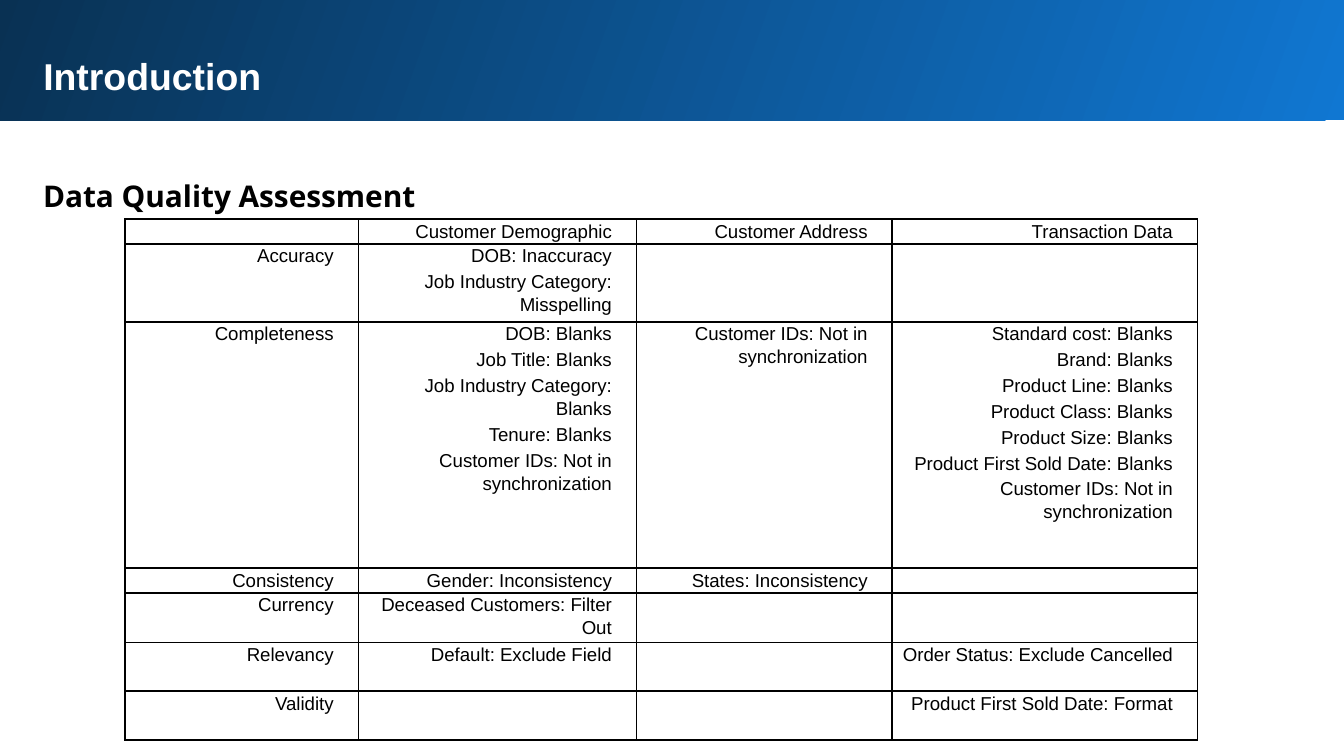
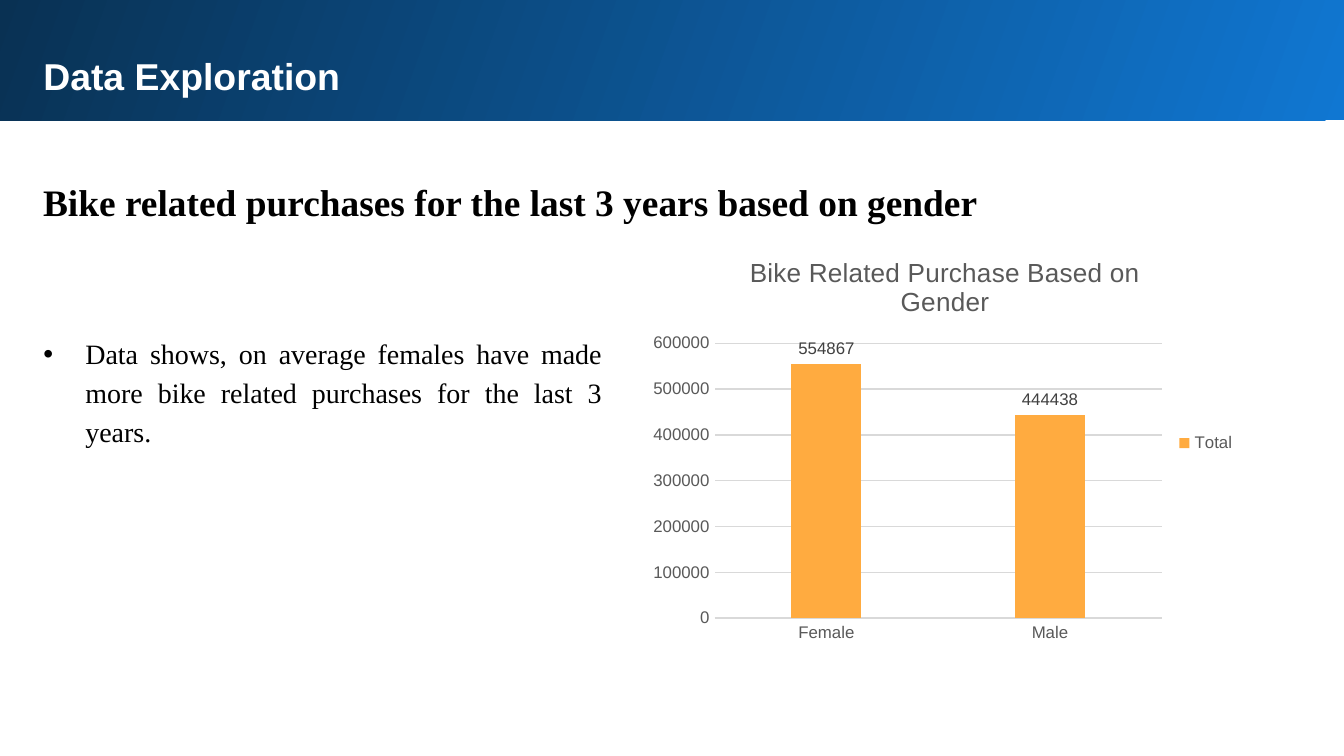
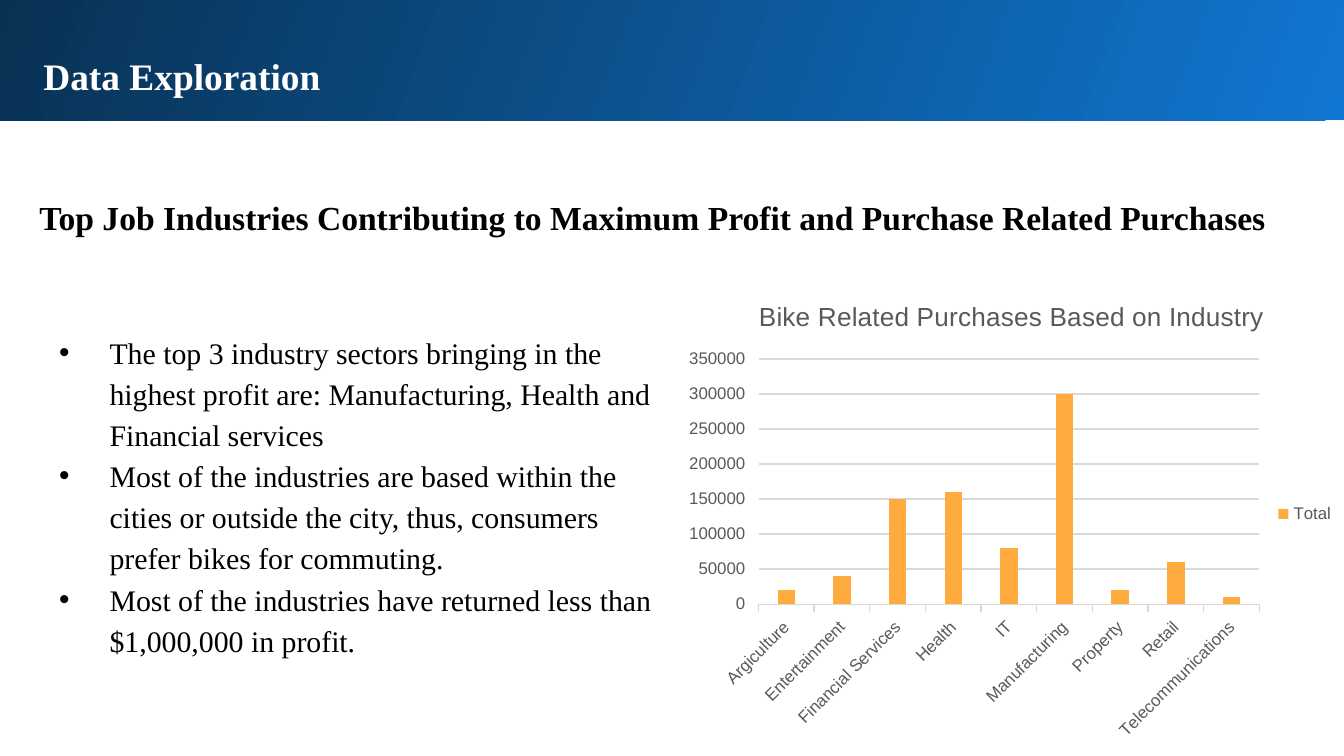
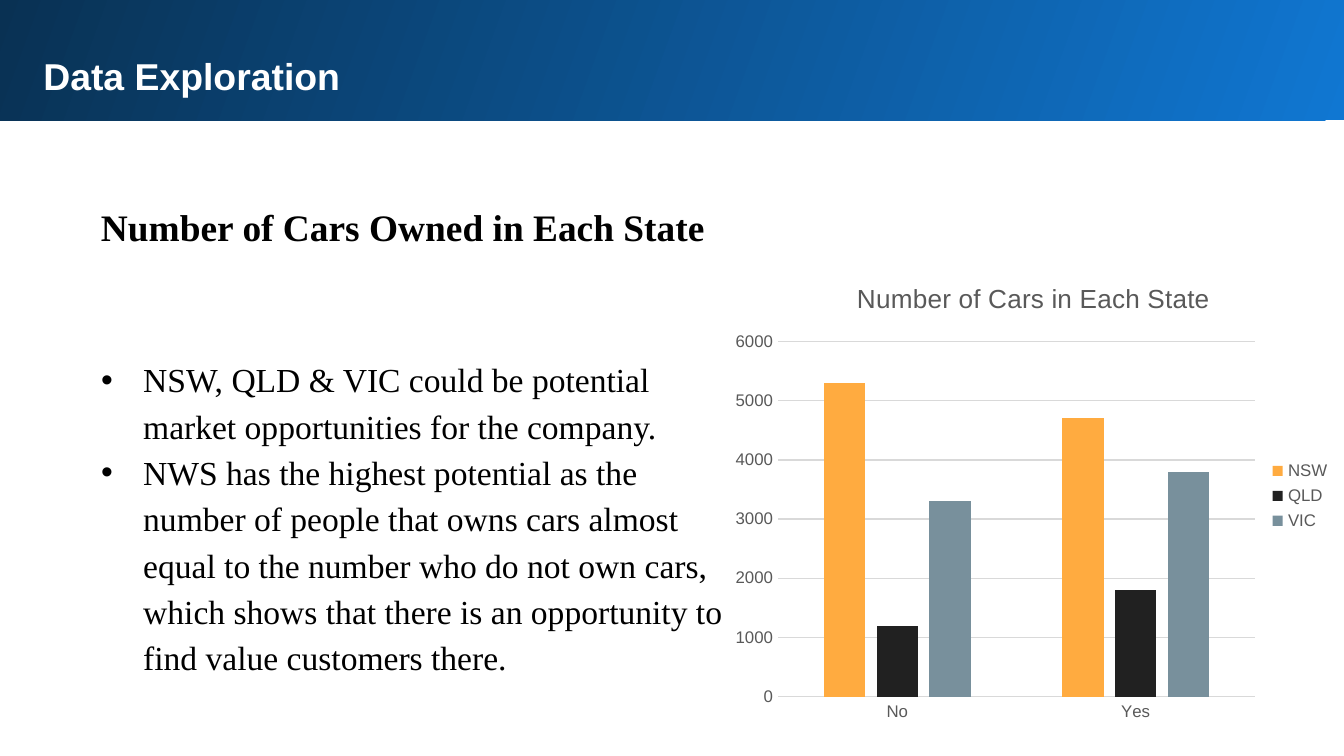
from lxml import etree
from pptx import Presentation
from pptx import util as u
from pptx.chart import data as chart_data
from pptx.dml import color
from pptx.enum import chart as charts, shapes, text
from pptx.oxml import ns

Pt = u.Pt
SANS, SERIF = "Arial", "Times New Roman"
BLACK, WHITE, GREY, RULE = "000000", "FFFFFF", "595959", "D9D9D9"
BAND_LIGHT, BAND_DARK = "1077D2", "093153"
ORANGE, CHARCOAL, SLATE = "FFAB40", "212121", "78909C"
BAND_BOX = (-1.5, -1.5, 723.5, 66)
TITLE_BOX = (16, 21, 674.5, 37)


def rgb(hex_code):
    return color.RGBColor.from_string(hex_code)


def style_font(font, name, size, hex_code, bold=False):
    font.name, font.size, font.bold = name, Pt(size), bold
    font.color.rgb = rgb(hex_code)


def place(shape, box):
    shape.left, shape.top, shape.width, shape.height = map(Pt, box)


def set_indents(paragraph, **indents):
    properties = paragraph._p.get_or_add_pPr()
    for name, points in indents.items():
        properties.set(name, str(Pt(points)))


def border_cell(cell):
    properties = cell._tc.get_or_add_tcPr()
    for side in ("lnL", "lnR", "lnT", "lnB"):
        line = etree.SubElement(properties, ns.qn(f"a:{side}"), w=str(Pt(1)))
        fill = etree.SubElement(line, ns.qn("a:solidFill"))
        etree.SubElement(fill, ns.qn("a:srgbClr"), val=BLACK)


class Deck:
    def __init__(self):
        self.presentation = Presentation()
        self.presentation.slide_width = Pt(720)
        self.presentation.slide_height = Pt(405)
        self.slide = None

    def start(self, title, layout="Title and Content", font=SANS):
        layouts = self.presentation.slide_layouts
        self.slide = self.presentation.slides.add_slide(layouts.get_by_name(layout))
        self.band()
        self.set_text(self.slide.shapes.title, TITLE_BOX, [title], font, 20, WHITE, bold=True)

    def band(self):
        band = self.slide.shapes.add_shape(shapes.MSO_SHAPE.RECTANGLE, *map(Pt, BAND_BOX))
        band.shadow.inherit = False
        band.line.fill.background()
        band.fill.gradient()
        band.fill.gradient_angle = 160
        for stop, position, shade in zip(band.fill.gradient_stops, (0, 1), (BAND_LIGHT, BAND_DARK)):
            stop.position = position
            stop.color.rgb = rgb(shade)
        self.slide.shapes.element.insert(2, band.element)

    def set_text(self, shape, box, lines, font, size, hex_code=BLACK, bold=False,
                 spacing=1.0, align=text.PP_ALIGN.LEFT, indents=None):
        place(shape, box)
        frame = shape.text_frame
        frame.word_wrap = True
        frame.auto_size = text.MSO_AUTO_SIZE.SHAPE_TO_FIT_TEXT
        frame.vertical_anchor = text.MSO_ANCHOR.TOP
        frame.margin_left = frame.margin_right = Pt(7.2)
        frame.margin_top = frame.margin_bottom = Pt(7.2)
        frame.text = "\n".join(lines)
        for paragraph in frame.paragraphs:
            paragraph.alignment = align
            paragraph.line_spacing = spacing
            paragraph.space_before = Pt(0)
            set_indents(paragraph, **(indents or {}))
            style_font(paragraph.font, font, size, hex_code, bold)

    def heading(self, wording, box, size, font=SERIF, indent=0):
        heading = self.slide.shapes.add_textbox(*map(Pt, box))
        self.set_text(heading, box, [wording], font, size, bold=True, spacing=1.15,
                      indents={"marL": indent})

    def bullets(self, points, box, size, margin, hang, align=text.PP_ALIGN.LEFT):
        self.set_text(self.slide.placeholders[1], box, points, SERIF, size, spacing=1.15,
                      align=align, indents={"marL": margin, "indent": -hang})

    def table(self, rows, box, widths, heights):
        table = self.slide.shapes.add_table(len(rows), len(widths), *map(Pt, box)).table
        table.first_row = table.horz_banding = False
        for column, width in zip(table.columns, widths):
            column.width = Pt(width)
        for row, height, entries in zip(table.rows, heights, rows):
            row.height = Pt(height)
            for cell, entry in zip(row.cells, entries):
                self.fill_cell(cell, entry)

    def fill_cell(self, cell, entry):
        cell.margin_left = cell.margin_right = Pt(4.3)
        cell.margin_top = cell.margin_bottom = 0
        border_cell(cell)
        cell.fill.background()
        cell.text = entry
        for paragraph in cell.text_frame.paragraphs:
            paragraph.alignment = text.PP_ALIGN.RIGHT
            paragraph.line_spacing = 1.1
            paragraph.space_before = Pt(1.6)
            set_indents(paragraph, marR=9)
            style_font(paragraph.font, SANS, 10, BLACK)
            if not entry:
                etree.SubElement(paragraph._p, ns.qn("a:endParaRPr"), sz="1000")

    def columns(self, title, box, categories, series, top, step,
                labels=False, ticks=False, rotation=None):
        figures = chart_data.CategoryChartData()
        figures.categories = categories
        for name, values, _ in series:
            figures.add_series(name, values)
        chart = self.slide.shapes.add_chart(
            charts.XL_CHART_TYPE.COLUMN_CLUSTERED, *map(Pt, box), figures).chart
        style_font(chart.font, SANS, 10, BLACK)
        chart.has_title = True
        chart.chart_title.text_frame.text = title
        style_font(chart.chart_title.text_frame.paragraphs[0].font, SANS, 14, GREY)
        chart.has_legend = True
        chart.legend.position = charts.XL_LEGEND_POSITION.RIGHT
        chart.legend.include_in_layout = False
        style_font(chart.legend.font, SANS, 9, GREY)

        tick_mark = charts.XL_TICK_MARK.OUTSIDE if ticks else charts.XL_TICK_MARK.NONE
        category_axis, value_axis = chart.category_axis, chart.value_axis
        for axis in (category_axis, value_axis):
            axis.major_tick_mark = tick_mark
            style_font(axis.tick_labels.font, SANS, 9, GREY)
        value_axis.minimum_scale, value_axis.maximum_scale = 0, top
        value_axis.major_unit = step
        value_axis.format.line.fill.background()
        for line in (category_axis.format.line, value_axis.major_gridlines.format.line):
            line.color.rgb = rgb(RULE)
            line.width = Pt(0.75)
        if rotation:
            body = category_axis._element.find(f"{ns.qn('c:txPr')}/{ns.qn('a:bodyPr')}")
            body.set("rot", str(rotation * 60000))

        plot = chart.plots[0]
        plot.gap_width, plot.overlap = 219, -27
        plot.vary_by_categories = False
        for bars, (_, _, shade) in zip(plot.series, series):
            bars.invert_if_negative = False
            bars.format.fill.solid()
            bars.format.fill.fore_color.rgb = rgb(shade)
        if labels:
            plot.has_data_labels = True
            plot.data_labels.show_value = True
            plot.data_labels.position = charts.XL_LABEL_POSITION.OUTSIDE_END
            style_font(plot.data_labels.font, SANS, 9, "404040")


def introduction(deck):
    unsynced = "Customer IDs: Not in synchronization"
    customer_gaps = ["DOB: Blanks", "Job Title: Blanks", "Job Industry Category: Blanks",
                     "Tenure: Blanks", unsynced]
    transaction_gaps = ["Standard cost: Blanks", "Brand: Blanks", "Product Line: Blanks",
                        "Product Class: Blanks", "Product Size: Blanks",
                        "Product First Sold Date: Blanks", unsynced]
    assessment = [
        ("", "Customer Demographic", "Customer Address", "Transaction Data"),
        ("Accuracy", "DOB: Inaccuracy\nJob Industry Category: Misspelling", "", ""),
        ("Completeness", "\n".join(customer_gaps), unsynced, "\n".join(transaction_gaps)),
        ("Consistency", "Gender: Inconsistency", "States: Inconsistency", ""),
        ("Currency", "Deceased Customers: Filter Out", "", ""),
        ("Relevancy", "Default: Exclude Field", "", "Order Status: Exclude Cancelled"),
        ("Validity", "", "", "Product First Sold Date: Format"),
    ]
    deck.start("Introduction", layout="Title Only")
    deck.heading("Data Quality Assessment", (16, 85, 674.5, 35), 16, font="Open Sans")
    deck.table(assessment, (67, 117.4, 574.5, 278), (125, 149, 137, 163.5),
               (13, 41.8, 132, 13, 26.2, 26.2, 26.2))


def purchases_by_gender(deck):
    deck.start("Data Exploration")
    deck.heading("Bike related purchases for the last 3 years based on gender",
                 (16, 85, 674.5, 40), 20)
    deck.bullets(["Data shows, on average females have made more bike related purchases "
                  "for the last 3 years."],
                 (16, 170.6, 314, 75.6), 15, 22.5, 22.5, align=text.PP_ALIGN.JUSTIFY)
    deck.columns("Bike Related Purchase Based on Gender", (343.5, 126, 325.5, 223),
                 ["Female", "Male"], [("Total", (554867, 444438), ORANGE)],
                 600000, 100000, labels=True)


def purchases_by_industry(deck):
    deck.start("Data Exploration", font=SERIF)
    deck.heading("Top Job Industries Contributing to Maximum Profit and Purchase Related Purchases",
                 (6, 95, 706, 37.5), 18, indent=8)
    deck.bullets(["The top 3 industry sectors bringing in the highest profit are: "
                  "Manufacturing, Health and Financial services",
                  "Most of the industries are based within the cities or outside the city, "
                  "thus, consumers prefer bikes for commuting.",
                  "Most of the industries have returned less than $1,000,000 in profit."],
                 (16.5, 169, 344, 191), 16, 35, 27)
    profits = (20000, 40000, 150000, 160000, 80000, 300000, 20000, 60000, 10000)
    deck.columns("Bike Related Purchases Based on Industry", (362, 149, 360, 252.7),
                 ["Argiculture", "Entertainment", "Financial Services", "Health", "IT",
                  "Manufacturing", "Property", "Retail", "Telecommunications"],
                 [("Total", profits, ORANGE)], 350000, 50000, ticks=True, rotation=-45)


def cars_by_state(deck):
    deck.start("Data Exploration")
    deck.heading("Number of Cars Owned in Each State", (39, 98.6, 430, 40), 20, indent=8)
    deck.bullets(["NSW, QLD & VIC could be potential market opportunities for the company.",
                  "NWS has the highest potential as the number of people that owns cars almost "
                  "equal to the number who do not own cars, which shows that there is an "
                  "opportunity to find value customers there."],
                 (39, 182, 356.5, 188), 18, 30.5, 22.5)
    deck.columns("Number of Cars in Each State", (387.4, 139.7, 332.6, 252), ["No", "Yes"],
                 [("NSW", (5300, 4700), ORANGE), ("QLD", (1200, 1800), CHARCOAL),
                  ("VIC", (3300, 3800), SLATE)], 6000, 1000)


def main():
    deck = Deck()
    for build in (introduction, purchases_by_gender, purchases_by_industry, cars_by_state):
        build(deck)
    deck.presentation.save("out.pptx")


if __name__ == "__main__":
    main()
